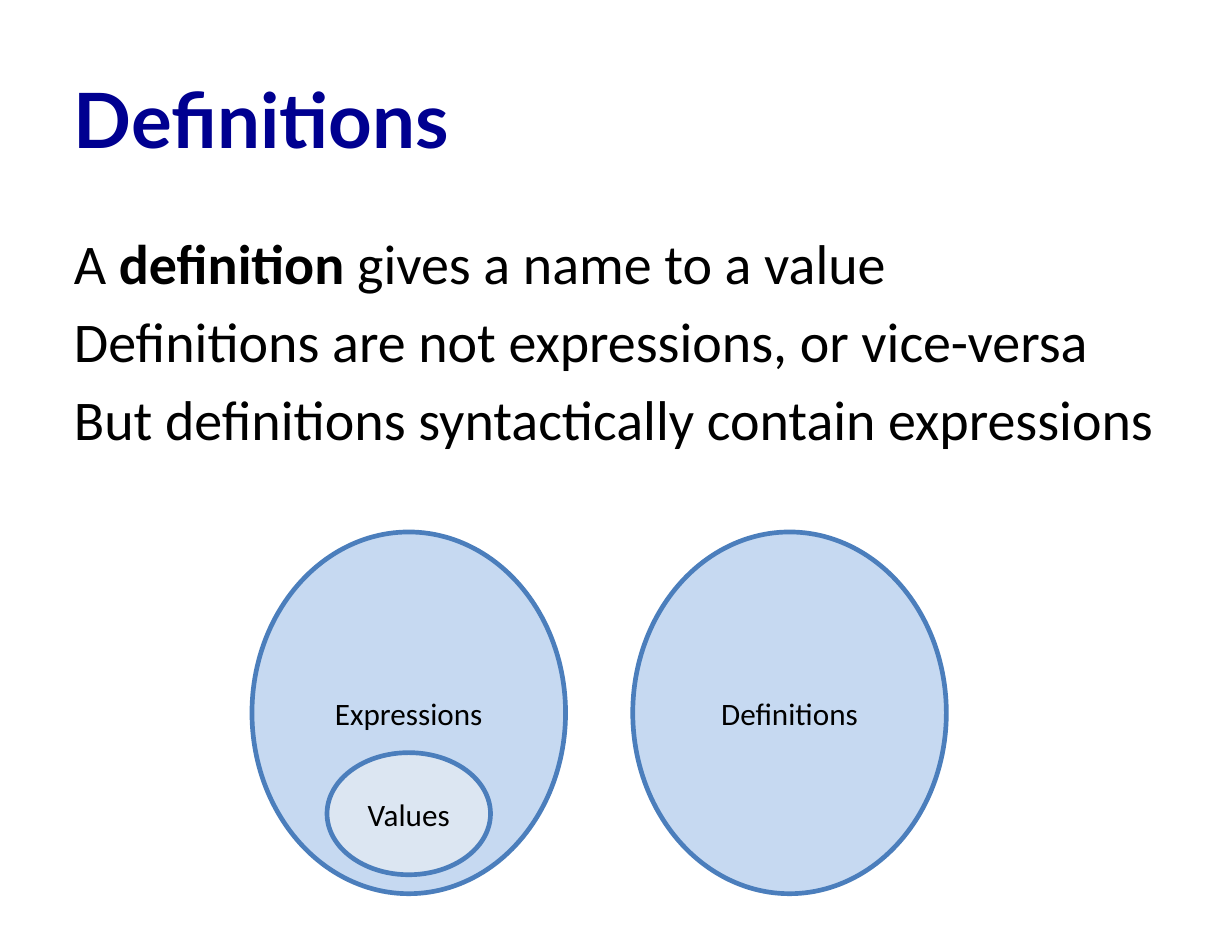
from dataclasses import dataclass

from pptx import Presentation
from pptx import util as u
from pptx.dml.color import RGBColor
from pptx.enum import shapes, text


@dataclass(frozen=True)
class Theme:
    title: str = "000090"
    ink: str = "000000"
    outline: str = "4B7EBC"
    outer: str = "C6D9F1"
    inner: str = "DCE6F2"
    title_font: str = "Lato"
    body_font: str = "Calibri"
    title_size: int = 49
    body_size: int = 36
    label_size: int = 20


theme = Theme()


def set_frame(sp, anchor):
    tf = sp.text_frame
    tf.word_wrap = True
    tf.vertical_anchor = anchor
    tf.margin_left = tf.margin_right = u.Inches(0.11)
    tf.margin_top = tf.margin_bottom = u.Inches(0.06)
    return tf


def add_run(p, words, size, font=theme.body_font, color=theme.ink, bold=False):
    r = p.add_run()
    r.text = words
    r.font.size = u.Pt(size)
    r.font.name = font
    r.font.bold = bold
    r.font.color.rgb = RGBColor.from_string(color)


prs = Presentation()
prs.slide_width = u.Inches(11)
prs.slide_height = u.Inches(8.5)
s = prs.slides.add_slide(prs.slide_layouts[6])

title = s.shapes.add_textbox(u.Inches(0.55), u.Inches(0.34), u.Inches(9.9), u.Inches(1.42))
tf = set_frame(title, text.MSO_ANCHOR.MIDDLE)
add_run(tf.paragraphs[0], "Definitions", theme.title_size, theme.title_font, theme.title, True)

body = s.shapes.add_textbox(u.Inches(0.55), u.Inches(1.98), u.Inches(9.9), u.Inches(5.61))
tf = set_frame(body, text.MSO_ANCHOR.TOP)
lines = [
    [("A ", False), ("definition", True), (" gives a name to a value", False)],
    [("Definitions are not expressions, or vice-versa", False)],
    [("But definitions syntactically contain expressions", False)],
]
for i, line in enumerate(lines):
    p = tf.add_paragraph() if i else tf.paragraphs[0]
    p.space_before = u.Pt(7)
    for words, bold in line:
        add_run(p, words, theme.body_size, bold=bold)

sets = [
    ("Definitions", 5.65, 4.75, 2.8, 3.23, theme.outer),
    ("Expressions", 2.25, 4.75, 2.8, 3.23, theme.outer),
    ("Values", 2.92, 6.72, 1.46, 1.09, theme.inner),
]
for label, left, top, width, height, fill in sets:
    sp = s.shapes.add_shape(
        shapes.MSO_SHAPE.OVAL, u.Inches(left), u.Inches(top), u.Inches(width), u.Inches(height)
    )
    sp.shadow.inherit = False
    sp.fill.solid()
    sp.fill.fore_color.rgb = RGBColor.from_string(fill)
    sp.line.color.rgb = RGBColor.from_string(theme.outline)
    sp.line.width = u.Pt(3)
    p = set_frame(sp, text.MSO_ANCHOR.MIDDLE).paragraphs[0]
    p.alignment = text.PP_ALIGN.CENTER
    add_run(p, label, theme.label_size)

prs.save("out.pptx")
